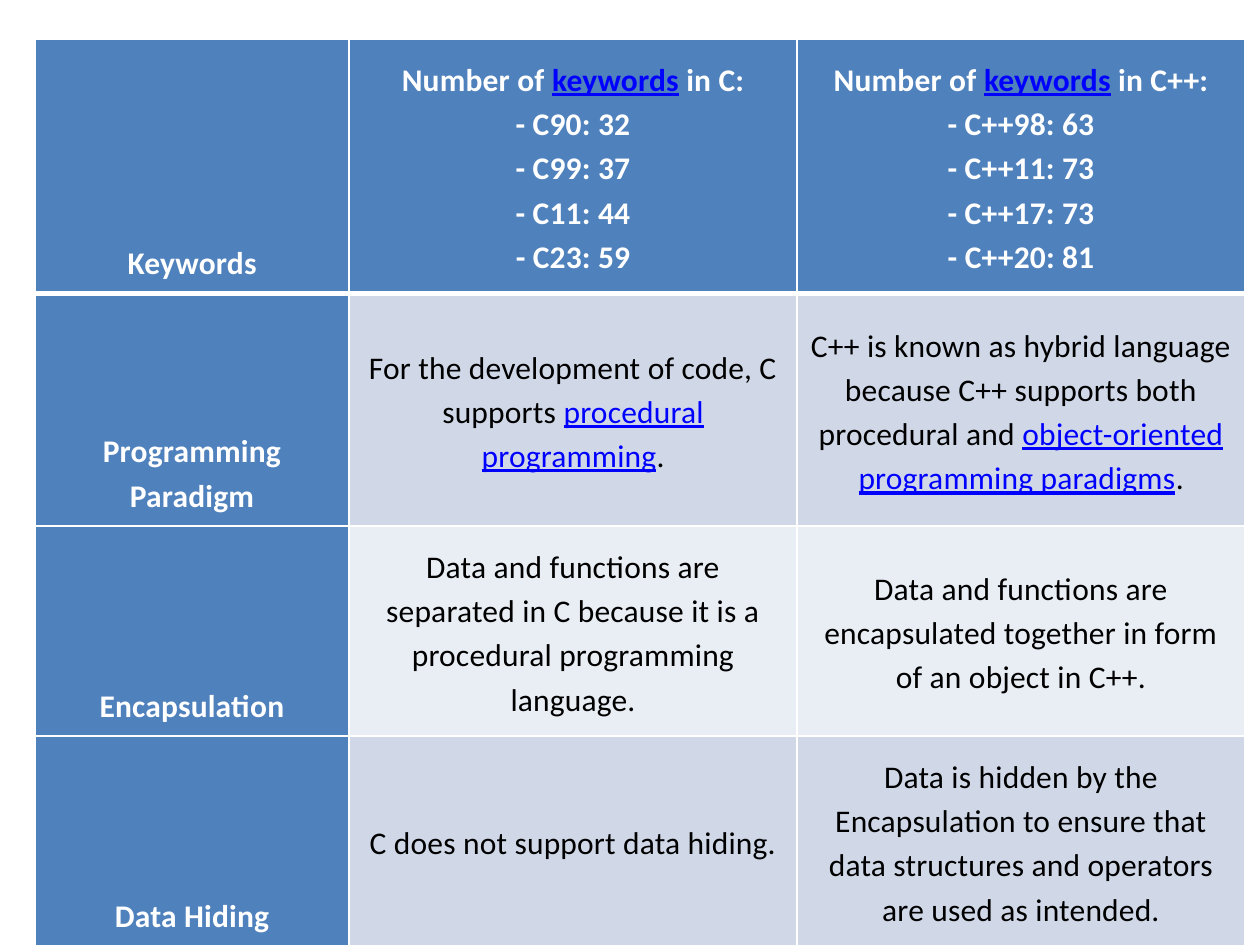
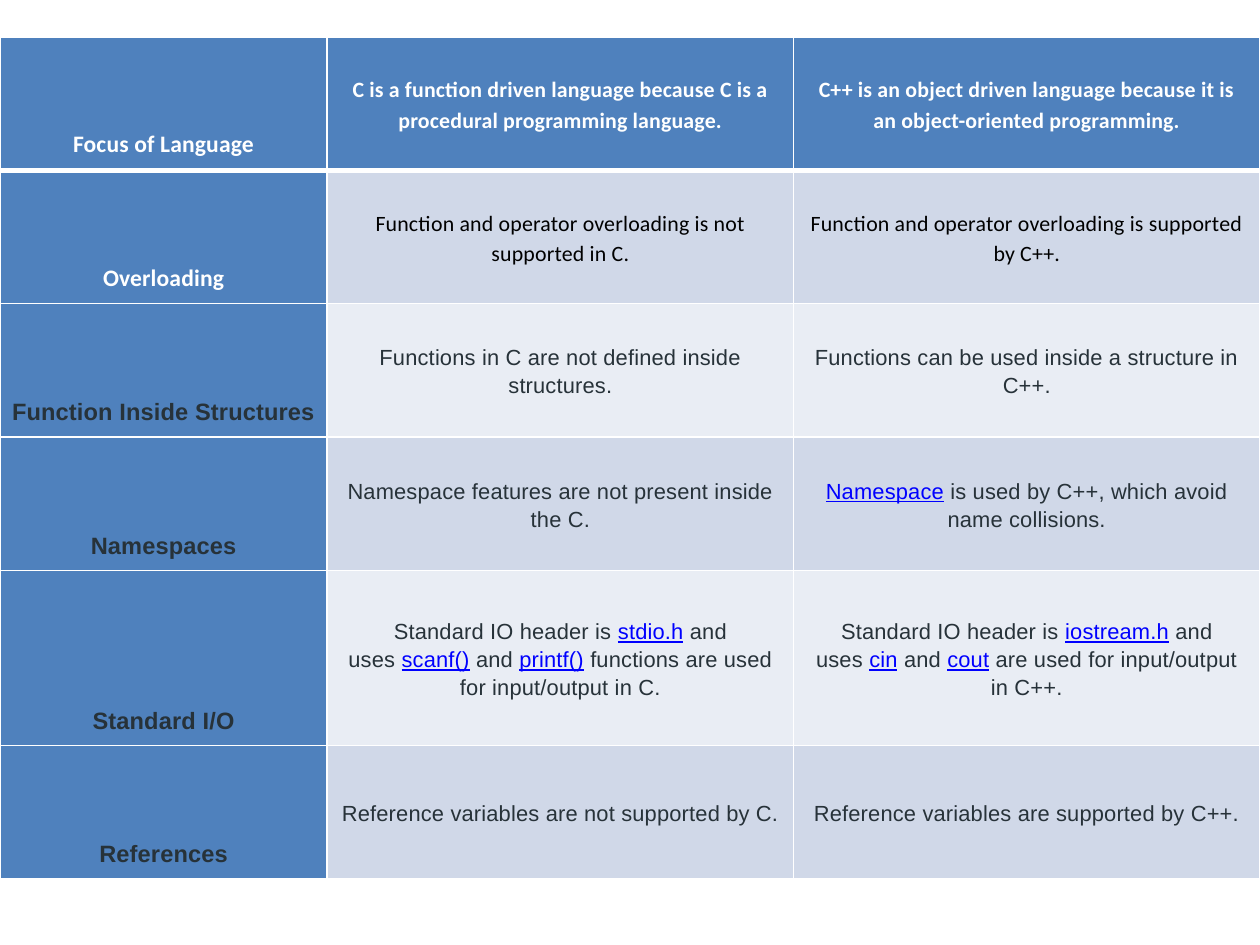
"""Build two slides of tables that compare C with C++."""
from lxml.etree import SubElement
from pptx import Presentation
from pptx.dml.color import RGBColor
from pptx.enum.text import MSO_ANCHOR as Anchor, PP_ALIGN as Align
from pptx.oxml.ns import qn
from pptx.util import Pt

BLUE, WHITE, BLACK, SLATE, LINK = "4F81BD", "FFFFFF", "000000", "273239", "0000FF"
BANDS = ("E9EDF4", "D0D8E8")
HARD_SPACE = chr(160)

KEYWORD_ROWS = [
    ("Keywords",
     "Number of [keywords] in C:\n- C90: 32\n- C99: 37\n- C11: 44\n- C23: 59",
     "Number of [keywords] in C++:\n- C++98: 63\n- C++11: 73\n- C++17: 73\n- C++20: 81"),
    ("Programming Paradigm",
     "For the development of code, C supports [procedural programming].",
     "C++ is known as hybrid language because C++ supports both procedural and "
     "[object-oriented programming paradigms]."),
    ("Encapsulation",
     "Data and functions are separated in C because it is a procedural programming language.",
     "Data and functions are encapsulated together in form of an object in C++."),
    ("Data Hiding",
     "C does not support data hiding.",
     "Data is hidden by the Encapsulation to ensure that data structures and operators "
     "are used as intended."),
]
FOCUS_ROWS = [
    ("Focus of Language",
     "C is a function driven language because C is a procedural programming language.",
     "C++ is an object driven language because it is an object-oriented programming."),
    ("Overloading",
     "Function and operator overloading is not supported in C.",
     "Function and operator overloading is supported by C++."),
    ("Function Inside Structures",
     "Functions in C are not defined inside structures.",
     "Functions can be used inside a structure in C++."),
    ("Namespaces",
     "Namespace features are not present inside the C.",
     "[Namespace] is used by C++, which avoid name collisions."),
    ("Standard I/O",
     "Standard IO header is [stdio.h] and uses [scanf()] and [printf()] functions "
     "are used for input/output in C.",
     "Standard IO header is [iostream.h] and uses [cin] and [cout] are used for "
     "input/output in C++."),
    ("References",
     "Reference variables are not supported by C.",
     "Reference variables are supported by C++."),
]


def rgb(value):
    """Turn a hex string into a colour."""
    return RGBColor.from_string(value)


def apply_format(target, values):
    """Set each named attribute of the target."""
    for name, value in values.items():
        setattr(target, name, value)


class ComparisonDeck:
    """Hold the shared style and the current slide."""

    def __init__(self):
        """Open a presentation of 10 by 7.5 inches."""
        self.presentation = Presentation()
        apply_format(self.presentation, {"slide_width": Pt(720), "slide_height": Pt(540)})
        self.slide = None

    def add_slide(self):
        """Start a blank slide."""
        self.slide = self.presentation.slides.add_slide(self.presentation.slide_layouts[6])

    def add_run(self, paragraph, text, style, linked):
        """Add one run in the given style, marked as a link if asked."""
        run = paragraph.add_run()
        run.text = text
        apply_format(run.font, {"name": style["font"], "size": Pt(style["size"]),
                                "bold": style["bold"], "underline": linked})
        run.font.color.rgb = rgb(LINK if linked else style["color"])
        run._r.get_or_add_rPr().set("spc", "10")

    def add_text(self, cell, text, style):
        """Write text in which square brackets enclose links."""
        paragraph = cell.text_frame.paragraphs[0]
        apply_format(paragraph, {"alignment": Align.CENTER, "line_spacing": 1.15,
                                 "space_after": Pt(10)})
        text = text.replace(" [", HARD_SPACE + "[").replace("] ", "]" + HARD_SPACE)
        for index, part in enumerate(text.replace("]", "[").split("[")):
            for line_number, line in enumerate(part.split("\n")):
                if line_number:
                    paragraph.add_line_break()
                if line:
                    self.add_run(paragraph, line, style, linked=index % 2 == 1)

    def add_borders(self, cell, row):
        """Draw white cell edges, with a thick rule under the header row."""
        widths = {"L": 1, "R": 1, "T": 3 if row == 1 else 1, "B": 3 if row == 0 else 1}
        properties = cell._tc.get_or_add_tcPr()
        for side, width in widths.items():
            line = SubElement(properties, qn(f"a:ln{side}"), w=str(Pt(width)))
            SubElement(SubElement(line, qn("a:solidFill")), qn("a:srgbClr"), val=WHITE)

    def add_cell(self, cell, row, column, text, style, padding):
        """Format and fill one cell by its place in the table."""
        label = column == 0
        side, upright = padding["label" if label else "body"]
        apply_format(cell, {"vertical_anchor": Anchor.BOTTOM if label else Anchor.MIDDLE,
                            "margin_left": Pt(side), "margin_right": Pt(side),
                            "margin_top": Pt(upright), "margin_bottom": Pt(upright)})
        self.add_borders(cell, row)
        cell.fill.solid()
        cell.fill.fore_color.rgb = rgb(BLUE if label or row == 0 else BANDS[row % 2])
        self.add_text(cell, text, style)

    def add_table(self, rows, left, top, widths, heights, sizes, padding, slate_from):
        """Add a comparison table whose rows turn to slate Arial from a given row."""
        frame = self.slide.shapes.add_table(len(rows), len(widths), Pt(left), Pt(top),
                                            Pt(sum(widths)), Pt(sum(heights)))
        table = frame.table
        apply_format(table, {"first_row": False, "horz_banding": False})
        for column, width in zip(table.columns, widths):
            column.width = Pt(width)
        for row, (height, texts) in enumerate(zip(heights, rows)):
            table.rows[row].height = Pt(height)
            slate = row >= slate_from
            for column, text in enumerate(texts):
                strong = row == 0 or column == 0
                style = {"font": "Arial" if slate else "Calibri",
                         "size": sizes[min(column, 1)], "bold": strong,
                         "color": SLATE if slate else WHITE if strong else BLACK}
                self.add_cell(table.cell(row, column), row, column, text, style, padding)


def main():
    """Build and save both slides."""
    deck = ComparisonDeck()
    deck.add_slide()
    deck.add_table(KEYWORD_ROWS, left=20, top=22.3, widths=[179.5, 256, 256],
                   heights=[133, 133, 110, 110], sizes=(18, 18),
                   padding={"label": (3, 6), "body": (7.5, 9.5)},
                   slate_from=len(KEYWORD_ROWS))
    deck.add_slide()
    deck.add_table(FOCUS_ROWS, left=0, top=21, widths=[187, 266.5, 266.5],
                   heights=[76.3, 76.3, 76.3, 76.3, 100, 76.3], sizes=(13.5, 12.5),
                   padding={"label": (3, 6.5), "body": (7.5, 10.5)}, slate_from=2)
    deck.presentation.save("out.pptx")


if __name__ == "__main__":
    main()
